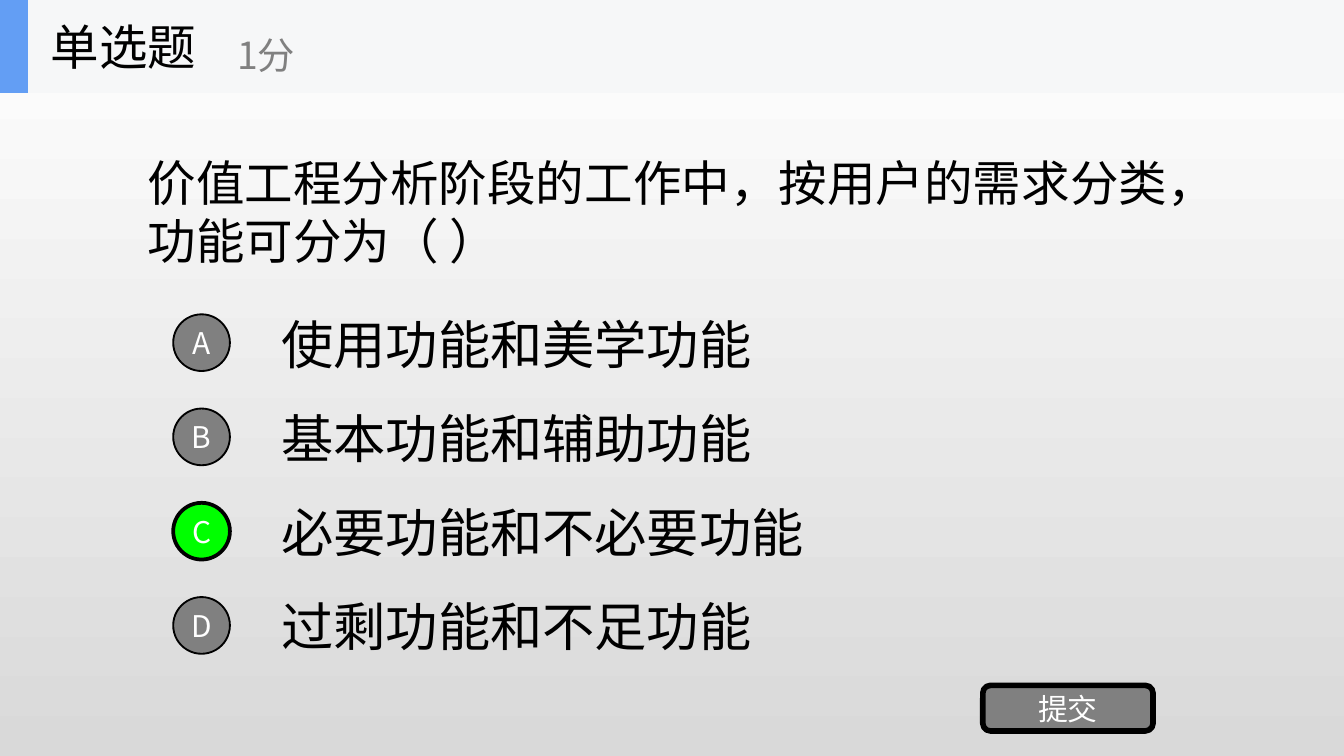
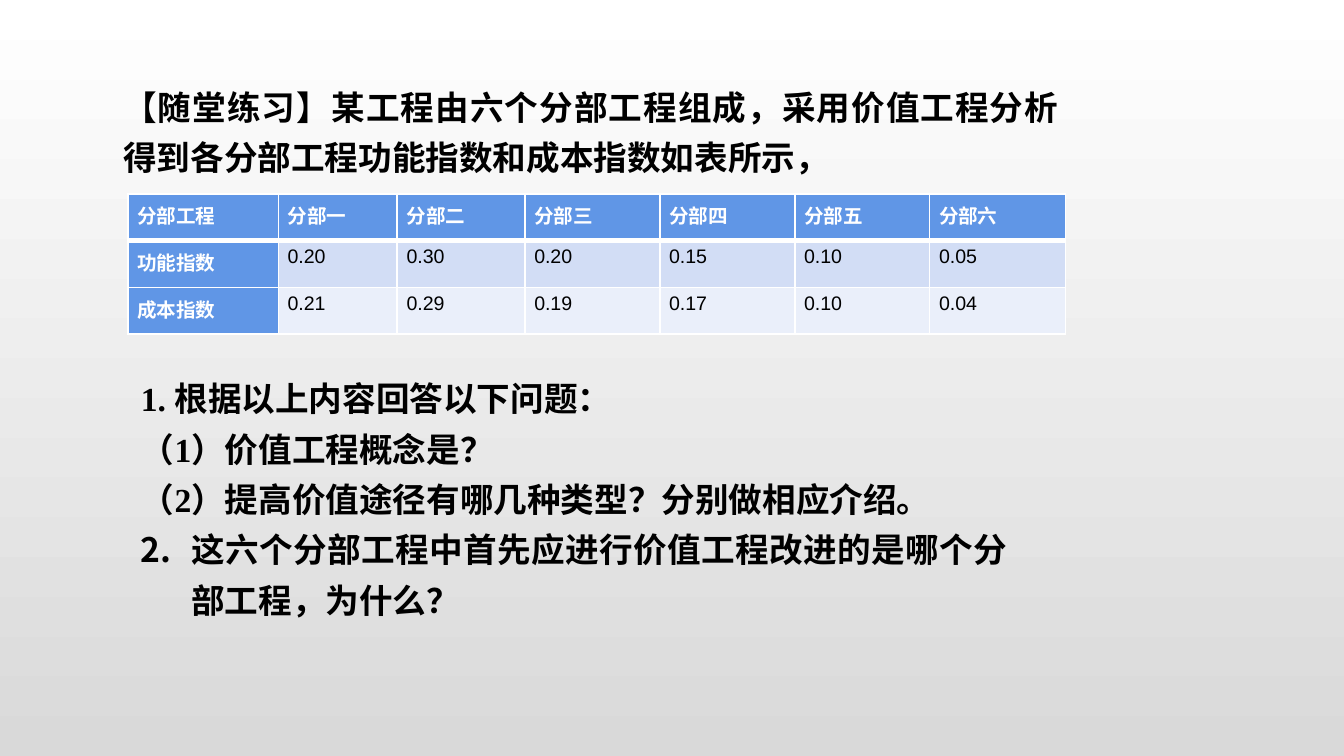
from dataclasses import dataclass
from itertools import accumulate

from lxml.etree import SubElement
from pptx import Presentation
from pptx.dml.color import RGBColor
from pptx.enum.shapes import MSO_SHAPE
from pptx.enum.text import MSO_ANCHOR, MSO_AUTO_SIZE, PP_ALIGN
from pptx.oxml.ns import qn
from pptx.util import Pt


@dataclass(frozen=True)
class Theme:
    black: str = "000000"
    white: str = "FFFFFF"
    shade: str = "D9D9D9"
    gray: str = "808080"
    correct: str = "00FF00"
    band: str = "F6F7F8"
    accent: str = "639EF4"
    table_head: str = "6096E6"
    table_rows: tuple = ("D2DDF5", "EAEFFA")
    sans: str = "Noto Sans CJK SC"
    arial: str = "Arial"
    serif: str = "Times New Roman"
    option_size: float = 28
    title_size: float = 26
    score_size: float = 20
    body_size: float = 18
    button_size: float = 16
    table_size: float = 10.5
    spacing: float = 1.25


@dataclass(frozen=True)
class Box:
    left: float
    top: float
    width: float
    height: float

    def inner(self, left, top, width, height):
        return Box(self.left + left, self.top + top, width, height)

    def lengths(self):
        return Pt(self.left), Pt(self.top), Pt(self.width), Pt(self.height)


THEME = Theme()
SLIDE = Box(0, 0, 720, 405)


def color(code):
    return RGBColor.from_string(code)


def add_span(para, text, size, font, ink=THEME.black, bold=False):
    span = para.add_run()
    span.text = text
    span.font.size = Pt(size)
    span.font.name = font
    span.font.bold = bold
    span.font.color.rgb = color(ink)
    east_asian = SubElement(span.font._element, qn("a:ea"))
    east_asian.set("typeface", THEME.sans)


def add_label(shapes, box, text, size, font=THEME.sans, ink=THEME.black, wrap=True):
    label = shapes.add_textbox(*box.lengths())
    frame = label.text_frame
    frame.word_wrap = wrap
    frame.vertical_anchor = MSO_ANCHOR.MIDDLE
    add_span(frame.paragraphs[0], text, size, font, ink)


def add_block(shapes, kind, box, fill, line_width=0, text=""):
    block = shapes.add_shape(kind, *box.lengths())
    block.shadow.inherit = False
    block.fill.solid()
    block.fill.fore_color.rgb = color(fill)
    if line_width:
        block.line.color.rgb = color(THEME.black)
        block.line.width = Pt(line_width)
    else:
        block.line.fill.background()
    if text:
        frame = block.text_frame
        frame.margin_left = frame.margin_right = 0
        frame.margin_top = frame.margin_bottom = 0
        frame.vertical_anchor = MSO_ANCHOR.MIDDLE
        para = frame.paragraphs[0]
        para.alignment = PP_ALIGN.CENTER
        add_span(para, text, THEME.button_size, THEME.sans, THEME.white)


def justify(para):
    para.alignment = PP_ALIGN.JUSTIFY
    para.line_spacing = THEME.spacing


def number_para(para, start, hang):
    properties = para._p.get_or_add_pPr()
    properties.set("marL", str(Pt(hang)))
    properties.set("indent", str(-Pt(hang)))
    SubElement(properties, qn("a:buFont")).set("typeface", THEME.sans)
    numbering = SubElement(properties, qn("a:buAutoNum"))
    numbering.set("type", "arabicPeriod")
    numbering.set("startAt", str(start))


def add_body(page, box, lines, numbered=None):
    body = page.shapes.add_textbox(*box.lengths())
    frame = body.text_frame
    frame.word_wrap = True
    frame.auto_size = MSO_AUTO_SIZE.SHAPE_TO_FIT_TEXT
    for index, line in enumerate(lines):
        para = frame.add_paragraph() if index else frame.paragraphs[0]
        if index == numbered:
            number_para(para, 2, 27)
        justify(para)
        add_span(para, line, THEME.body_size, THEME.serif, bold=True)


def add_border(cell, side, width):
    edge = SubElement(cell._tc.get_or_add_tcPr(), qn(f"a:ln{side}"))
    edge.set("w", str(Pt(width)))
    fill = SubElement(edge, qn("a:solidFill"))
    SubElement(fill, qn("a:srgbClr")).set("val", THEME.white)


def fill_cell(cell, text, row, column):
    heading = row == 0 or column == 0
    for side in "LRTB":
        under_head = (row, side) in ((0, "B"), (1, "T"))
        add_border(cell, side, 3 if under_head else 1)
    cell.fill.solid()
    cell.fill.fore_color.rgb = color(
        THEME.table_head if heading else THEME.table_rows[row - 1]
    )
    cell.margin_left = cell.margin_right = Pt(5.04)
    cell.margin_top = cell.margin_bottom = 0
    para = cell.text_frame.paragraphs[0]
    justify(para)
    ink = THEME.white if heading else THEME.black
    add_span(para, text, THEME.table_size, THEME.arial, ink, heading)


def add_index_table(page, box, widths, rows):
    table = page.shapes.add_table(len(rows), len(widths), *box.lengths()).table
    edges = [Pt(edge) for edge in accumulate(widths, initial=0)]
    for column, start, end in zip(table.columns, edges, edges[1:]):
        column.width = end - start
    for row, values in enumerate(rows):
        table.rows[row].height = Pt(box.height / len(rows))
        for column, text in enumerate(values):
            fill_cell(table.cell(row, column), text, row, column)


def add_header(page, box, title, score):
    shapes = page.shapes.add_group_shape().shapes
    add_block(shapes, MSO_SHAPE.RECTANGLE, box, THEME.band)
    add_block(shapes, MSO_SHAPE.RECTANGLE, box.inner(0, 0, 15, box.height), THEME.accent)
    add_label(shapes, box.inner(20, 0, 150, box.height), title, THEME.title_size, wrap=False)
    add_label(shapes, box.inner(120, 9, 180, 40), score, THEME.score_size,
              ink=THEME.gray, wrap=False)


def add_options(page, box, options, answer):
    pitch = 50.5
    for index, option in enumerate(options):
        add_label(page.shapes, box.inner(51, index * pitch, 504, 38), option,
                  THEME.option_size, THEME.arial)
    for index, letter in enumerate("ABCD"):
        chosen = letter == answer
        add_block(page.shapes, MSO_SHAPE.OVAL,
                  box.inner(0, 3.6 + index * pitch, 30.4, 30.4),
                  THEME.correct if chosen else THEME.gray, 2 if chosen else 1, letter)


def add_page(deck):
    page = deck.slides.add_slide(deck.slide_layouts[6])
    fill = page.background.fill
    fill.gradient()
    fill.gradient_angle = 270
    for stop, code, position in zip(fill.gradient_stops, (THEME.white, THEME.shade), (0, 1)):
        stop.color.rgb = color(code)
        stop.position = position
    return page


def add_choice_page(deck, box):
    page = add_page(deck)
    add_label(page.shapes, box.inner(72, 49.5, 576, 127),
              "价值工程分析阶段的工作中，按用户的需求分类，功能可分为（ ）", THEME.title_size)
    options = ("使用功能和美学功能", "基本功能和辅助功能",
               "必要功能和不必要功能", "过剩功能和不足功能")
    add_options(page, box.inner(92.8, 164.8, 555, 190), options, "C")
    add_block(page.shapes, MSO_SHAPE.ROUNDED_RECTANGLE,
              box.inner(526.5, 367.2, 91.2, 24.4), THEME.gray, 3, "提交")
    add_header(page, box.inner(0, 0, box.width, 49.8), "单选题", "1分")


def add_exercise_page(deck, box):
    page = add_page(deck)
    rows = (
        ("分部工程", "分部一", "分部二", "分部三", "分部四", "分部五", "分部六"),
        ("功能指数", "0.20", "0.30", "0.20", "0.15", "0.10", "0.05"),
        ("成本指数", "0.21", "0.29", "0.19", "0.17", "0.10", "0.04"),
    )
    add_index_table(page, box.inner(68.5, 103.8, 502.4, 75.3),
                    (80.6, 63.7, 68.4, 72.3, 72.3, 72.3, 72.8), rows)
    add_body(page, box.inner(59, 37.4, 515.5, 59),
             ("【随堂练习】某工程由六个分部工程组成，采用价值工程分析得到各分部工程功能指数和成本指数如表所示，",))
    questions = (
        "1. 根据以上内容回答以下问题：",
        "（1）价值工程概念是？",
        "（2）提高价值途径有哪几种类型？分别做相应介绍。",
        "这六个分部工程中首先应进行价值工程改进的是哪个分部工程，为什么？",
    )
    add_body(page, box.inner(68.4, 193.7, 478.8, 168.5), questions, numbered=3)


def main():
    deck = Presentation()
    deck.slide_width = Pt(SLIDE.width)
    deck.slide_height = Pt(SLIDE.height)
    add_choice_page(deck, SLIDE)
    add_exercise_page(deck, SLIDE)
    deck.save("out.pptx")


if __name__ == "__main__":
    main()
